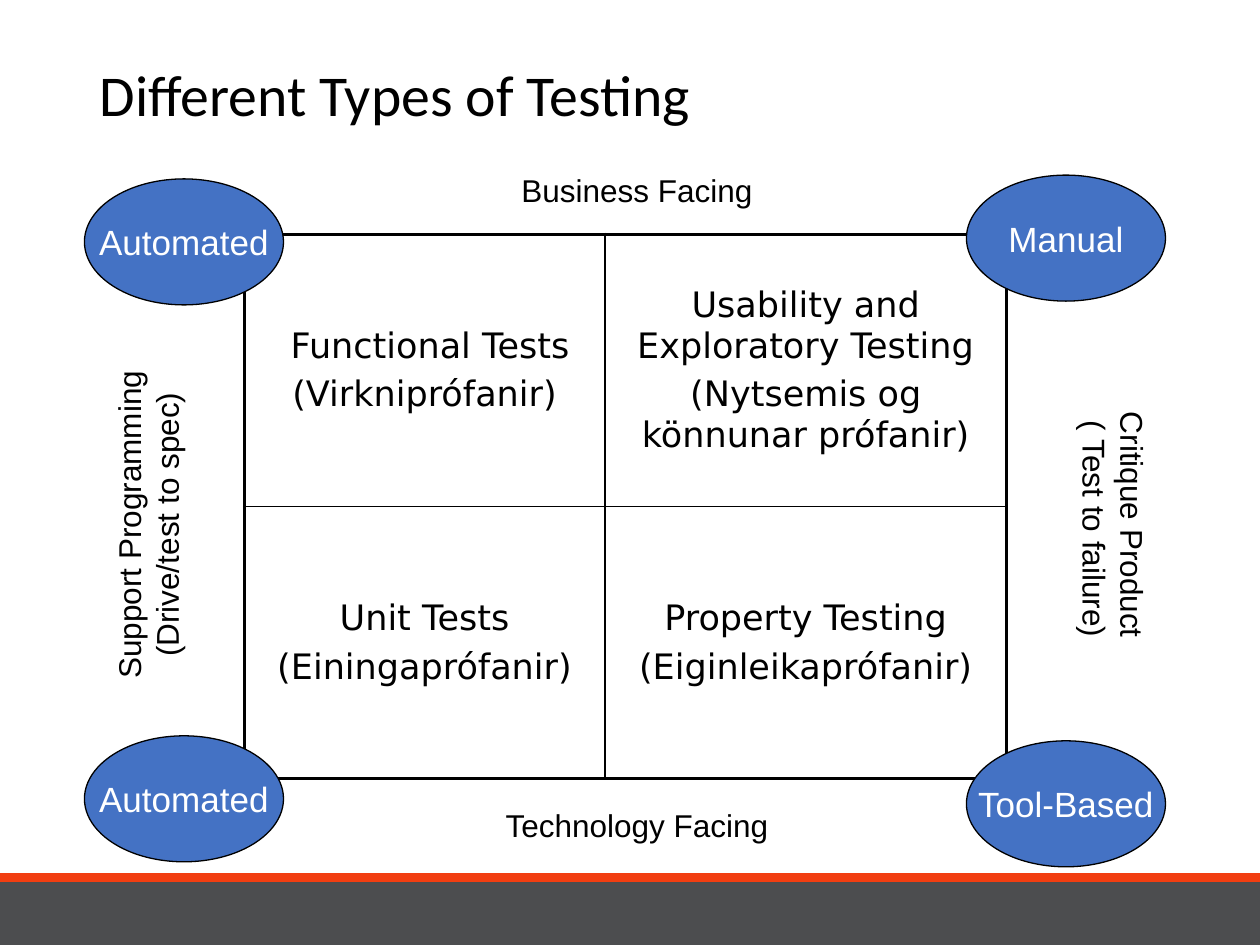
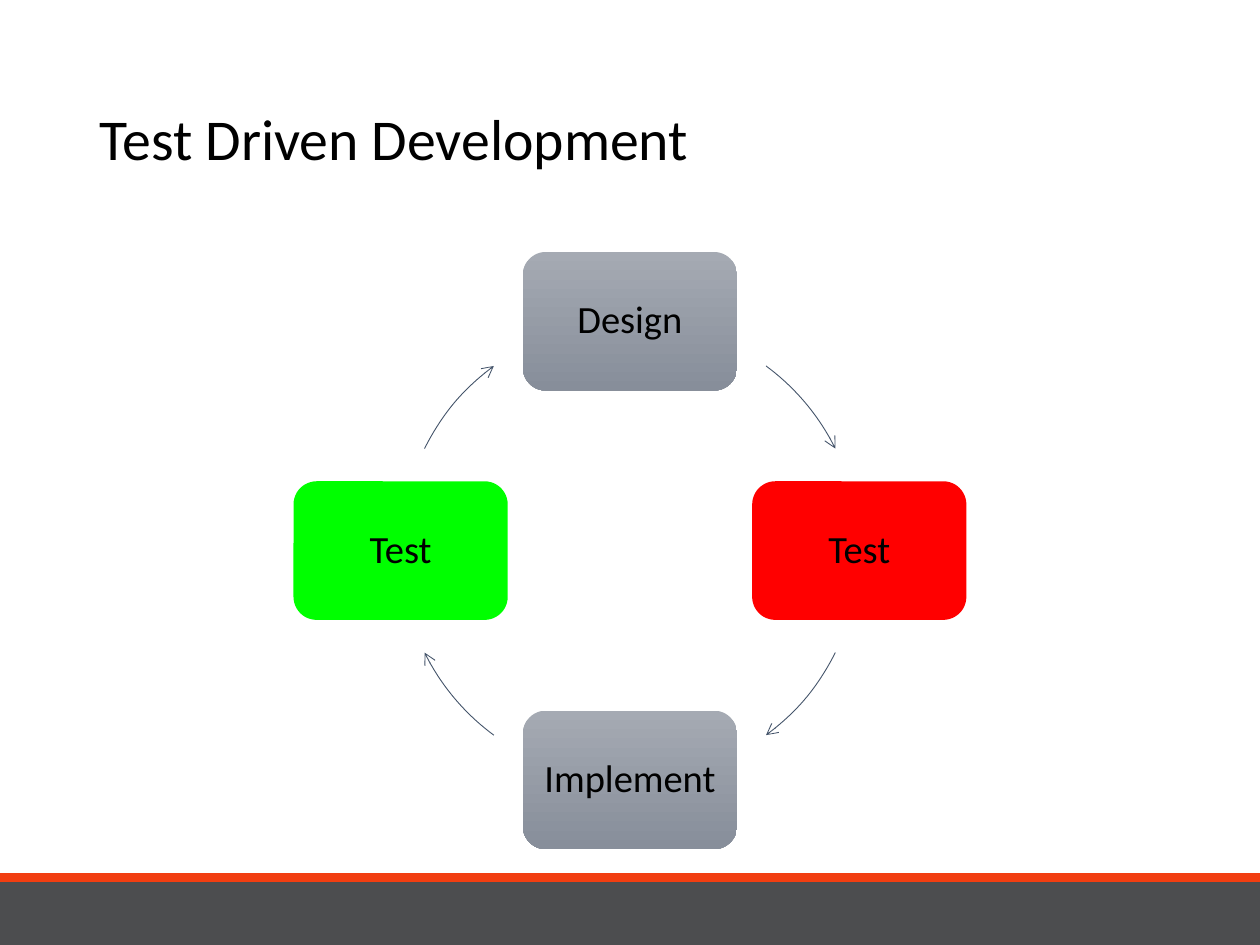
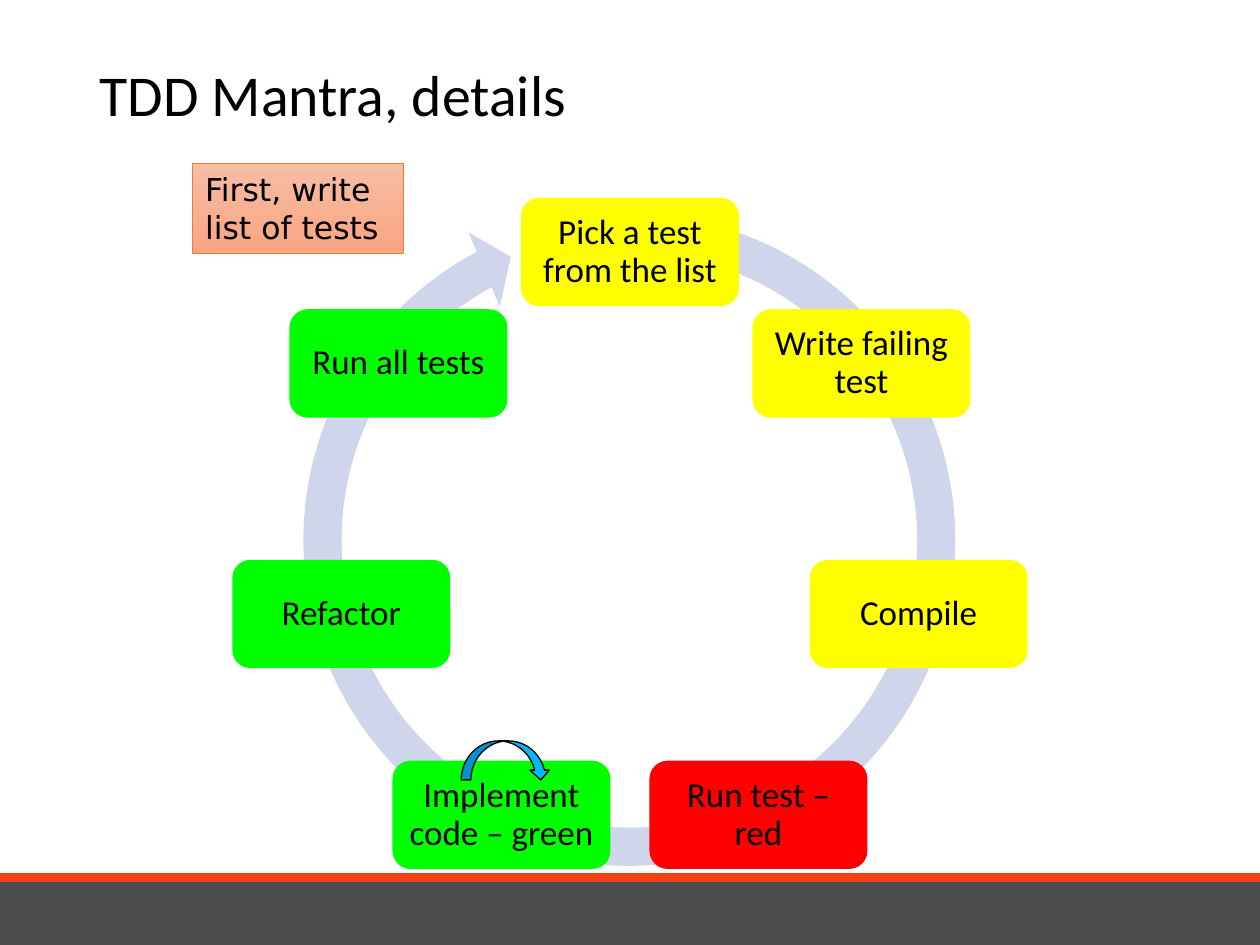
import math
from dataclasses import dataclass

from lxml import etree
from pptx import Presentation, util as u
from pptx.dml.color import RGBColor
from pptx.enum import shapes, text
from pptx.oxml import ns

KIND = shapes.MSO_SHAPE
ALIGN = text.PP_ALIGN
MIDDLE = text.MSO_ANCHOR.MIDDLE


@dataclass(frozen=True)
class Theme:
    ink: str = "000000"
    white: str = "FFFFFF"
    band: str = "4C4D4F"
    stripe: str = "F23E11"
    blue: str = "4472C4"
    navy: str = "44546A"
    pale: str = "CFD5EA"
    sky: str = "00B8FF"
    orange: str = "ED7D31"
    red: str = "FF0000"
    green: str = "00FF00"
    yellow: str = "FFFF00"
    steel: tuple = ("A5AAB3", "878E9A")
    peach: tuple = ("F7BDA5", "F8A582")
    head: str = "Calibri"
    label: str = "Arial"
    body: str = "DejaVu Sans"
    title: int = 33
    step: int = 22
    item: int = 20
    note: int = 18
    thin: float = 0.5
    fine: float = 0.75
    inner: float = 1
    outer: float = 2.25


T = Theme()
COLS, ROWS = 10, 7.5
CELL = u.Inches(1)


def grid(*cells):
    return [round(n * CELL) for n in cells]


def apply(item, values):
    for key, value in values.items():
        setattr(item, key, value)


def color(code):
    return RGBColor.from_string(code)


def paint(fill, tone):
    if tone is None:
        fill.background()
    elif isinstance(tone, tuple):
        fill.gradient()
        fill.gradient_angle = 270
        for stop, code in zip(fill.gradient_stops, tone):
            stop.color.rgb = color(code)
    else:
        fill.solid()
        fill.fore_color.rgb = color(tone)


def write(frame, words, face, size, ink=T.ink, **form):
    frame.text = words
    for part in frame.paragraphs:
        apply(part, form)
        for run in part.runs:
            apply(run.font, {"name": face, "size": u.Pt(size)})
            run.font.color.rgb = color(ink)


def shape(slide, kind, box, tone=None, edge=None, width=T.fine):
    item = slide.shapes.add_shape(kind, *grid(*box))
    item.shadow.inherit = False
    paint(item.fill, tone)
    paint(item.line.fill, edge)
    if edge:
        item.line.width = u.Pt(width)
    return item


def label(slide, words, box, turn=0):
    item = slide.shapes.add_textbox(*grid(*box))
    item.rotation = turn
    item.text_frame.word_wrap = True
    write(item.text_frame, words, T.label, T.note, alignment=ALIGN.CENTER)


def oval(slide, words, x, y):
    item = shape(slide, KIND.OVAL, (x, y, 1.58, 1), T.blue, T.ink)
    item.text_frame.word_wrap = False
    write(item.text_frame, words, T.label, T.item, T.white, alignment=ALIGN.CENTER)


def border(cell, sides):
    props = cell._tc.get_or_add_tcPr()
    for spot, (side, width) in enumerate(sides.items()):
        line = etree.Element(ns.qn(f"a:ln{side}"), w=str(u.Pt(width)))
        fill = etree.SubElement(line, ns.qn("a:solidFill"))
        etree.SubElement(fill, ns.qn("a:srgbClr"), val=T.ink)
        props.insert(spot, line)


def matrix(slide, rows, left, top, widths, height):
    frame = slide.shapes.add_table(
        len(rows), len(widths), *grid(left, top, sum(widths), height * len(rows)))
    table = frame.table
    apply(table, {"first_row": False, "horz_banding": False})
    for col, width in zip(table.columns, widths):
        col.width = grid(width)[0]
    for r, row in enumerate(rows):
        for c, words in enumerate(row):
            cell = table.cell(r, c)
            cell.vertical_anchor = MIDDLE
            write(cell.text_frame, words, T.body, T.item, alignment=ALIGN.CENTER)
            cell.text_frame.paragraphs[1].space_before = u.Pt(4.5)
            paint(cell.fill, None)
            rim = {"L": c == 0, "R": c == len(row) - 1,
                   "T": r == 0, "B": r == len(rows) - 1}
            border(cell, {s: T.outer if on else T.inner for s, on in rim.items()})


def ring(slide, steps, mid, reach, size, pad, points):
    wide, high = size
    for n, (words, tone) in enumerate(steps):
        turn = math.tau * n / len(steps)
        x = mid[0] + reach * math.sin(turn) - wide / 2
        y = mid[1] - reach * math.cos(turn) - high / 2
        item = shape(slide, KIND.ROUNDED_RECTANGLE, (x, y, wide, high), tone)
        inset = grid(pad)[0]
        sides = ("left", "right", "top", "bottom")
        apply(item.text_frame, {f"margin_{s}": inset for s in sides})
        item.text_frame.word_wrap = True
        write(item.text_frame, words, T.head, points,
              alignment=ALIGN.CENTER, line_spacing=0.9)


def arc(slide, mid, reach, angle, span):
    box = (mid[0] - reach, mid[1] - reach, 2 * reach, 2 * reach)
    item = shape(slide, KIND.ARC, box, None, T.navy, T.thin)
    for n, side in enumerate((-1, 1)):
        item.adjustments[n] = (angle + side * span / 2) % 360 * 0.6
    line = item.line._get_or_add_ln()
    etree.SubElement(line, ns.qn("a:tailEnd"), type="arrow")


def page(deck, words, top=0.05):
    slide = deck.slides.add_slide(deck.slide_layouts[5])
    title = slide.shapes.title
    spot = grid(0.69, top, 8.62, 1.45)
    apply(title, dict(zip(("left", "top", "width", "height"), spot)))
    title.text_frame.vertical_anchor = MIDDLE
    write(title.text_frame, words, T.head, T.title,
          alignment=ALIGN.LEFT, line_spacing=0.9)
    return slide


def bands(deck, slide):
    tree = deck.slide_master.shapes.element
    for top, high, tone in ((6.93, 0.07, T.stripe), (7, 0.5, T.band)):
        bar = shape(slide, KIND.RECTANGLE, (0, top, COLS, high), tone)
        tree.insert(2, bar.element)


def types(deck):
    slide = page(deck, "Different Types of Testing")
    bands(deck, slide)
    matrix(slide, [
        [" Functional Tests\n(Virkniprófanir)",
         "Usability and Exploratory Testing\n(Nytsemis og könnunar prófanir)"],
        ["Unit Tests\n(Einingaprófanir)",
         "Property Testing\n(Eiginleikaprófanir)"],
    ], 1.94, 1.86, (2.86, 3.19), 2.16)
    oval(slide, "Automated", 0.67, 5.84)
    oval(slide, "Automated", 0.67, 1.42)
    oval(slide, "Manual", 7.67, 1.39)
    oval(slide, "Tool-Based", 7.67, 5.88)
    label(slide, "Business Facing", (2.64, 1.31, 4.83, 0.4))
    label(slide, "Technology Facing", (2.64, 6.35, 4.83, 0.4))
    label(slide, "Support Programming\v(Drive/test to spec)",
          (-1.24, 3.81, 4.83, 0.71), 270)
    label(slide, "Critique Product\v ( Test to failure)",
          (6.42, 3.81, 4.83, 0.71), 90)


def cycle(deck):
    slide = page(deck, "Test Driven Development", 0.4)
    mid, reach = (COLS / 2, 4.37), 1.82
    steps = [("Design", T.steel), ("Test", T.red),
             ("Implement", T.steel), ("Test", T.green)]
    ring(slide, steps, mid, reach, (1.7, 1.1), 0.09, T.step)
    for angle in (-40, 40, 140, 220):
        arc(slide, mid, reach, angle, 27.2)


def mantra(deck):
    slide = page(deck, "TDD Mantra, details")
    loop = shape(slide, KIND.CIRCULAR_ARROW, (2.24, 1.53, 5.51, 5.51), T.pale)
    for n, value in enumerate((0.055, 3.307, 145.06, 169.56, 0.058)):
        loop.adjustments[n] = value
    steps = [("Pick a test from the list", T.yellow),
             ("Write failing test", T.yellow), ("Compile", T.yellow),
             ("Run test – red", T.red), ("Implement code – green", T.green),
             ("Refactor", T.green), ("Run all tests", T.green)]
    ring(slide, steps, (COLS / 2, 4.35), 2.35, (1.73, 0.86), 0.08, T.item)
    first = shape(slide, KIND.RECTANGLE, (1.53, 1.3, 1.67, 0.71),
                  T.peach, T.orange, T.thin)
    apply(first.text_frame, {"word_wrap": True,
                             "vertical_anchor": text.MSO_ANCHOR.TOP})
    write(first.text_frame, "First, write list of tests", T.body, T.note,
          alignment=ALIGN.LEFT)
    shape(slide, KIND.CURVED_DOWN_ARROW, (3.66, 5.88, 0.71, 0.31), T.sky, T.ink)


def main():
    deck = Presentation()
    deck.slide_width, deck.slide_height = grid(COLS, ROWS)
    for build in (types, cycle, mantra):
        build(deck)
    deck.save("out.pptx")


if __name__ == "__main__":
    main()
